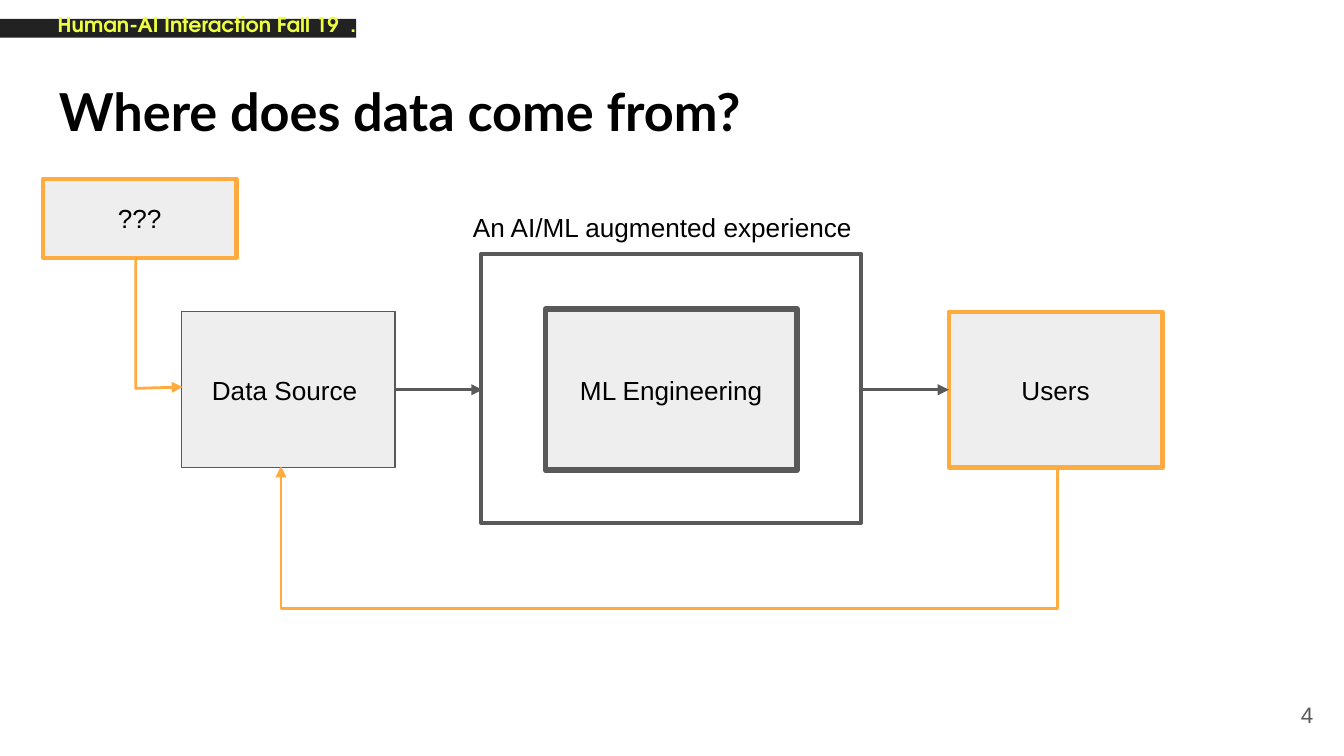
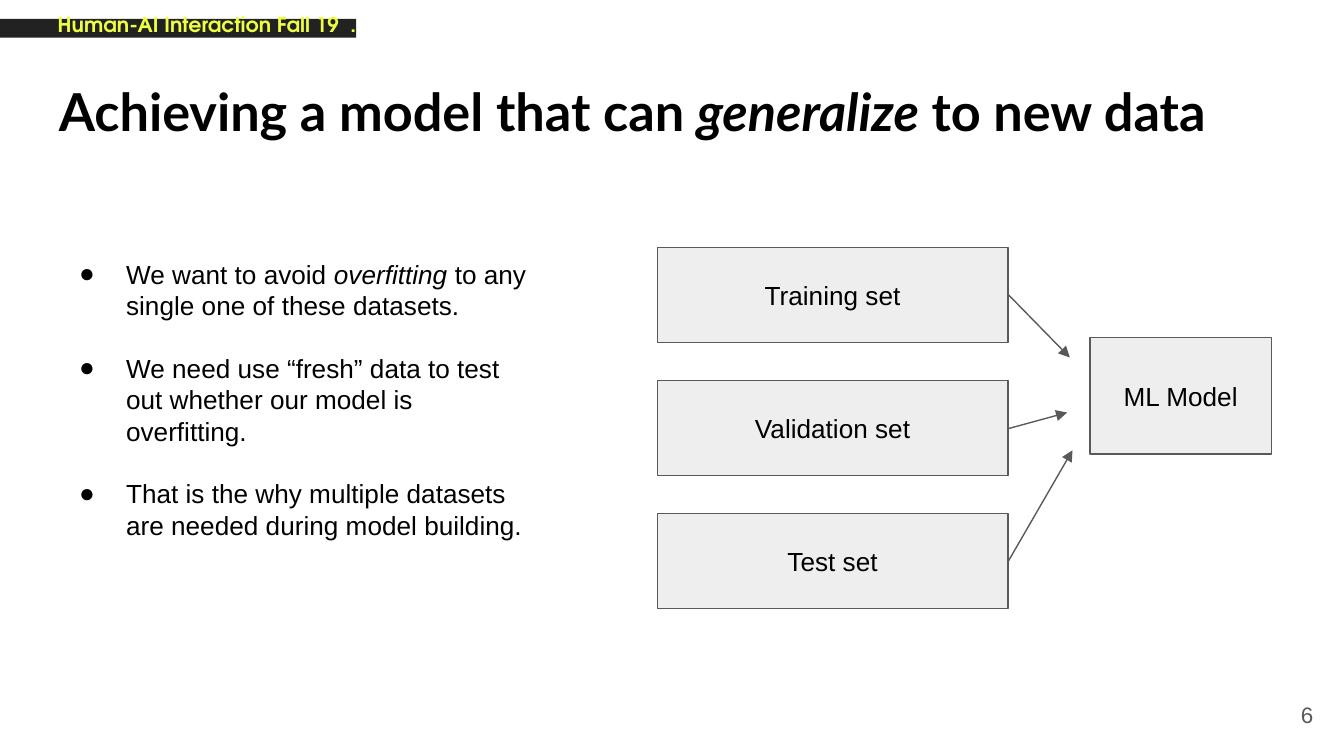
from lxml import etree
from pptx import Presentation
from pptx import util as u
from pptx.dml.color import RGBColor
from pptx.enum import shapes, text
from pptx.oxml.ns import qn

HUES = {
    "ink": "000000",
    "grey": "595959",
    "pale": "EEEEEE",
    "gold": "FFAB40",
    "dark": "222222",
    "lime": "EEFF41",
}
LEFT, MID, RIGHT = text.PP_ALIGN.LEFT, text.PP_ALIGN.CENTER, text.PP_ALIGN.RIGHT


def hue(name):
    return RGBColor.from_string(HUES[name])


def fill_frame(frame, anchor, inset=0.1):
    frame.word_wrap = True
    frame.vertical_anchor = anchor
    frame.margin_left = u.Inches(inset)
    frame.margin_right = u.Inches(0.1)
    frame.margin_top = frame.margin_bottom = u.Inches(0.1)
    return frame


def add_runs(para, runs, size=14, face="Arial", tint="ink", bold=False, align=LEFT):
    para.alignment = align
    for words, slant in runs:
        run = para.add_run()
        run.text = words
        font = run.font
        font.size = u.Pt(size)
        font.name = face
        font.bold = bold
        font.italic = slant
        font.color.rgb = hue(tint)


def add_text(slide, place, runs, anchor=text.MSO_ANCHOR.TOP, inset=0.1, **style):
    box = slide.shapes.add_textbox(*map(u.Inches, place))
    frame = fill_frame(box.text_frame, anchor, inset)
    add_runs(frame.paragraphs[0], runs, **style)


def add_box(slide, place, words="", fill="pale", edge="grey", width=0.75):
    box = slide.shapes.add_shape(shapes.MSO_SHAPE.RECTANGLE, *map(u.Inches, place))
    box.shadow.inherit = False
    if fill:
        box.fill.solid()
        box.fill.fore_color.rgb = hue(fill)
    else:
        box.fill.background()
    if edge:
        box.line.color.rgb = hue(edge)
        box.line.width = u.Pt(width)
    else:
        box.line.fill.background()
    if words:
        frame = fill_frame(box.text_frame, text.MSO_ANCHOR.MIDDLE)
        add_runs(frame.paragraphs[0], [(words, False)], align=MID)


def add_head(line, tint, width):
    line.line.color.rgb = hue(tint)
    line.line.width = u.Pt(width)
    edge = line.element.spPr.find(qn("a:ln"))
    etree.SubElement(edge, qn("a:tailEnd"), type="triangle")


def add_arrow(slide, start, end, width):
    line = slide.shapes.add_connector(
        shapes.MSO_CONNECTOR.STRAIGHT, *map(u.Inches, start + end))
    add_head(line, "grey", width)
    etree.SubElement(line.element.spPr, qn("a:effectLst"))


def add_bend(slide, points):
    start, *rest = [tuple(map(u.Inches, point)) for point in points]
    pen = slide.shapes.build_freeform(*start)
    pen.add_line_segments(rest, close=False)
    bend = pen.convert_to_shape()
    bend.shadow.inherit = False
    bend.fill.background()
    add_head(bend, "gold", 1.5)


def add_list(slide, place, items):
    box = slide.shapes.add_textbox(*map(u.Inches, place))
    frame = fill_frame(box.text_frame, text.MSO_ANCHOR.TOP)
    for rank, runs in enumerate(items):
        para = frame.add_paragraph() if rank else frame.paragraphs[0]
        props = para._p.get_or_add_pPr()
        props.set("marL", str(u.Inches(0.5)))
        props.set("indent", str(u.Inches(-0.35)))
        tint = etree.SubElement(props, qn("a:buClr"))
        etree.SubElement(tint, qn("a:srgbClr"), val=HUES["ink"])
        etree.SubElement(props, qn("a:buFont"), typeface="Arial")
        etree.SubElement(props, qn("a:buChar"), char="●")
        if rank:
            para.space_before = u.Pt(16.8)
        add_runs(para, runs)


def add_page(deck, title, number):
    slide = deck.slides.add_slide(deck.slide_layouts[6])
    add_box(slide, (0, 0.14, 2.65, 0.14), fill="dark", edge=None)
    add_text(slide, (-0.1, 0, 8.3, 0.83), [("Human-AI Interaction Fall 19  .", False)],
             inset=0.53, size=11, face="TeX Gyre Adventor", tint="lime", bold=True)
    add_text(slide, (0.34, 0.49, 9.32, 0.63), title, size=28, face="Lato", bold=True)
    add_text(slide, (9.27, 5.1, 0.6, 0.43), [(str(number), False)],
             anchor=text.MSO_ANCHOR.MIDDLE, size=12, tint="grey", align=RIGHT)
    return slide


def draw_flow(deck):
    slide = add_page(deck, [("Where does data come from?", False)], 4)
    add_box(slide, (4.06, 2.3, 1.87, 1.2), "ML Engineering", width=3)
    add_box(slide, (3.58, 1.89, 2.83, 2), fill=None, width=2.25)
    add_text(slide, (3.42, 1.47, 3.16, 0.59), [("An AI/ML augmented experience", False)])
    add_box(slide, (1.35, 2.32, 1.59, 1.16), "Data Source ")
    add_box(slide, (7.06, 2.32, 1.59, 1.16), "Users", edge="gold", width=2.25)
    for left, right in ((2.94, 3.59), (6.42, 7.06)):
        add_arrow(slide, (left, 2.9), (right, 2.9), 1.5)
    add_bend(slide, [(7.87, 3.48), (7.87, 4.53), (2.09, 4.53), (2.09, 3.47)])
    add_box(slide, (0.32, 1.33, 1.44, 0.59), "???", edge="gold", width=2.25)
    add_bend(slide, [(1.01, 1.92), (1.01, 2.89), (1.36, 2.88)])


def draw_sets(deck):
    slide = add_page(deck, [("Achieving a model that can ", False),
                            ("generalize", True), (" to new data", False)], 6)
    add_box(slide, (8.11, 2.51, 1.35, 0.87), "ML Model")
    sets = [
        ("Training set", 2.19, (7.96, 2.66)),
        ("Validation set", 3.19, (7.94, 3.07)),
        ("Test set", 4.18, (7.98, 3.35)),
    ]
    for row, (name, mid, tip) in enumerate(sets):
        add_box(slide, (4.89, 1.84 + 0.99 * row, 2.61, 0.71), name)
        add_arrow(slide, (7.5, mid), tip, 0.75)
    add_list(slide, (0.34, 1.82, 3.76, 2.73), [
        [("We want to avoid ", False), ("overfitting", True),
         (" to any single one of these datasets.", False)],
        [("We need use “fresh” data to test out whether our model is overfitting.", False)],
        [("That is the why multiple datasets are needed during model building.", False)],
    ])


def main():
    deck = Presentation()
    deck.slide_width = u.Inches(10)
    deck.slide_height = deck.slide_width * 9 // 16
    draw_flow(deck)
    draw_sets(deck)
    deck.save("out.pptx")


if __name__ == "__main__":
    main()
